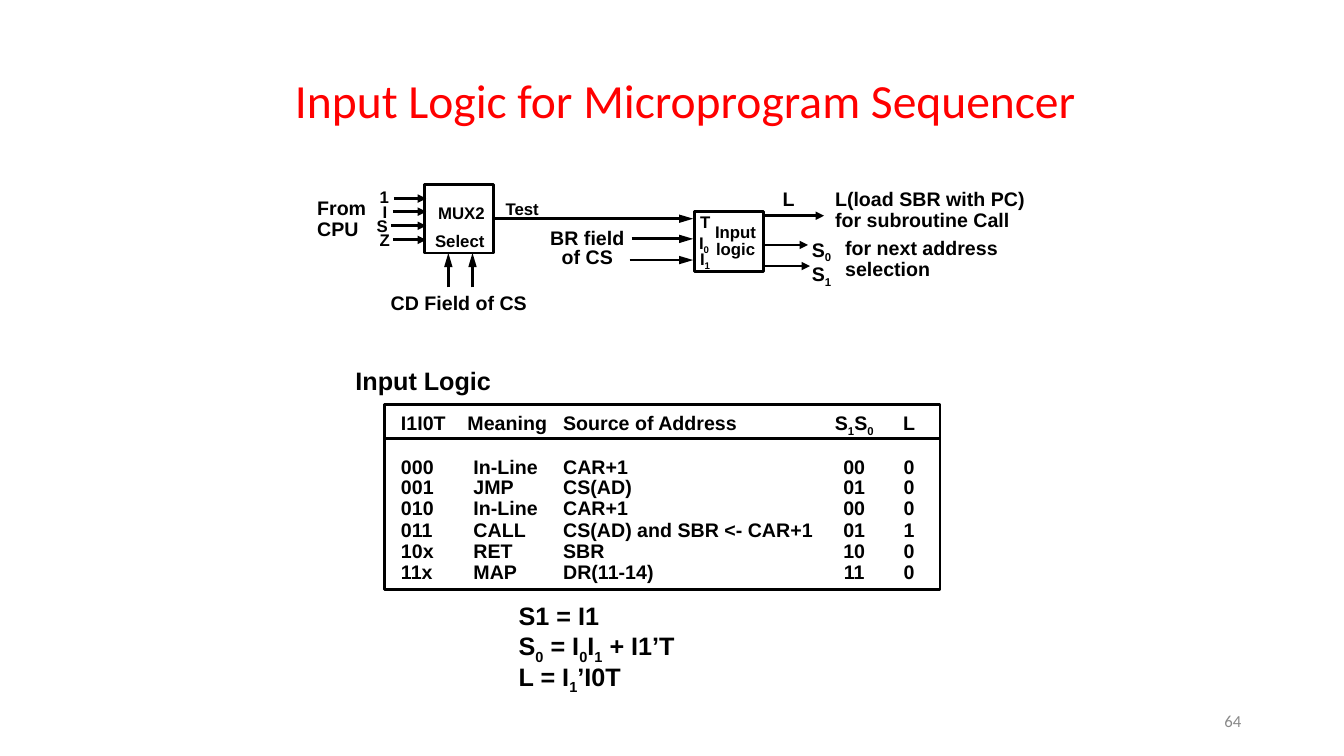
from lxml import etree
from pptx import Presentation
from pptx.dml.color import RGBColor
from pptx.enum.shapes import MSO_CONNECTOR, MSO_SHAPE
from pptx.enum.text import MSO_ANCHOR, PP_ALIGN
from pptx.oxml.ns import qn
from pptx.util import Pt

LEFT, CENTER, RIGHT = PP_ALIGN.LEFT, PP_ALIGN.CENTER, PP_ALIGN.RIGHT
TOP, MIDDLE, BOTTOM = MSO_ANCHOR.TOP, MSO_ANCHOR.MIDDLE, MSO_ANCHOR.BOTTOM
RECTANGLE, STRAIGHT = MSO_SHAPE.RECTANGLE, MSO_CONNECTOR.STRAIGHT
SCALE = 9144  # EMU per px, 100 px to the inch
BLACK, RED, GRAY = "000000", "FF0000", "898989"
LINE_WIDTH = Pt(2)

# Content: an underscore lowers the character after it
TITLE = "Input Logic for Microprogram Sequencer"
PAGE_NUMBER = "64"

# text, left, top, width, height, size
LABELS = [
    ("Input", 700, 217, 70, 28, 12),
    ("logic", 701, 234, 70, 28, 12),
    ("T", 685, 207, 40, 28, 12),
    ("I_0", 684, 226, 40, 30, 12),
    ("I_1", 685, 242, 40, 30, 12),
    ("MUX2", 425, 198, 80, 28, 12),
    ("Select", 422, 226, 80, 28, 12),
    ("1", 367, 183, 40, 28, 12),
    ("I", 370, 197, 40, 28, 12),
    ("S", 364, 211, 40, 28, 12),
    ("Z", 367, 225, 40, 28, 12),
    ("Test", 492, 194, 65, 28, 12),
    ("From\nCPU", 305, 192, 85, 52, 14),
    ("L", 767, 183, 40, 31, 14),
    ("L(load SBR with PC)\nfor subroutine Call", 819, 183, 232, 52, 14),
    ("S_0\nS_1", 796, 231, 50, 58, 14),
    ("for next address\nselection", 829, 232, 185, 52, 14),
    ("Input Logic", 343, 361, 170, 37, 18),
    ("S1 = I1\nS_0 = I_0I_1 + I1’T\nL = I_1’I0T", 505, 594, 190, 98, 18),
]
# text, left, top, width, height, line spacing
CENTERED_LABELS = [
    ("CD Field of CS", 373, 286, 165, 31, 0.9),
    ("BR field\nof CS", 531, 224, 104, 47, 0.8),
]

MUX_BOX = (421, 183, 69, 68)
LOGIC_BOX = (689, 210, 69, 59)
TEST_LINE = (490, 217, 688, 217)

# start x, start y, end x, end y
SHORT_HEAD_ARROWS = [
    (391, 197, 423, 197), (390, 210, 423, 210),
    (388, 224, 423, 224), (390, 238, 423, 238),
    (757, 214, 818, 214), (757, 243, 802, 243), (757, 264, 804, 264),
]
LONG_HEAD_ARROWS = [
    (627, 237, 688, 237), (625, 258, 688, 258),
    (445, 285, 445, 251), (469, 285, 469, 251),
]

TABLE_LEFT, TABLE_TOP = 382, 401
ROW_HEIGHTS = [34, 40, 21, 21, 21, 21, 26]
HEADER_TOP_MARGIN = 6
# width, alignment, header inset, body inset
COLUMNS = [
    (77, LEFT, 16, 16), (93, LEFT, 5, 11), (272, LEFT, 7, 7),
    (48, CENTER, 0, 0), (61, CENTER, 0, 0),
]
TABLE_ROWS = [
    ("I1I0T", "Meaning", "Source of Address", "S_1S_0", "L"),
    ("000", "In-Line", "CAR+1", "00", "0"),
    ("001", "JMP", "CS(AD)", "01", "0"),
    ("010", "In-Line", "CAR+1", "00", "0"),
    ("011", "CALL", "CS(AD) and SBR <- CAR+1", "01", "1"),
    ("10x", "RET", "SBR", "10", "0"),
    ("11x", "MAP", "DR(11-14)", "11", "0"),
]


def px(*lengths):
    return [round(length * SCALE) for length in lengths]


def color(hex_string):
    return RGBColor.from_string(hex_string)


def write(frame, text, size, align=LEFT, spacing=0.9, font="Arial", ink=BLACK, bold=True):
    for index, line in enumerate(text.split("\n")):
        para = frame.paragraphs[0] if index == 0 else frame.add_paragraph()
        para.alignment, para.line_spacing = align, spacing
        first, *lowered = line.split("_")
        spans = [(first, False)]
        for part in lowered:
            spans += [(part[0], True), (part[1:], False)]
        for words, is_subscript in spans:
            if not words:
                continue
            span = para.add_run()
            span.text = words
            span.font.name, span.font.size, span.font.bold = font, Pt(size), bold
            span.font.color.rgb = color(ink)
            if is_subscript:
                span._r.get_or_add_rPr().set("baseline", "-25000")


def add_text(page, text, left, top, width, height, size, anchor=TOP, **style):
    frame = page.shapes.add_textbox(*px(left, top, width, height)).text_frame
    frame.word_wrap = True
    frame.vertical_anchor = anchor
    write(frame, text, size, **style)


def add_box(page, bounds):
    box = page.shapes.add_shape(RECTANGLE, *px(*bounds))
    box.shadow.inherit = False
    box.fill.background()
    box.line.color.rgb = color(BLACK)
    box.line.width = LINE_WIDTH
    return box


def add_line(page, ends, head_length=None):
    line = page.shapes.add_connector(STRAIGHT, *px(*ends))
    line.line.color.rgb = color(BLACK)
    line.line.width = LINE_WIDTH
    if head_length:
        etree.SubElement(line.line._get_or_add_ln(), qn("a:tailEnd"),
                         type="triangle", w="med", len=head_length)
    etree.SubElement(line._element.spPr, qn("a:effectLst"))
    return line


def clear_borders(cell):
    properties = cell._tc.get_or_add_tcPr()
    for side in ("lnL", "lnR", "lnT", "lnB"):
        border = etree.SubElement(properties, qn("a:" + side), w="0")
        etree.SubElement(border, qn("a:noFill"))


def add_logic_table(page):
    width, height = sum(column[0] for column in COLUMNS), sum(ROW_HEIGHTS)
    bounds = (TABLE_LEFT, TABLE_TOP, width, height)
    table = page.shapes.add_table(len(TABLE_ROWS), len(COLUMNS), *px(*bounds)).table
    table.first_row = table.horz_banding = False
    for index, column in enumerate(COLUMNS):
        table.columns[index].width = px(column[0])[0]
    for row, (values, row_height) in enumerate(zip(TABLE_ROWS, ROW_HEIGHTS)):
        table.rows[row].height = px(row_height)[0]
        for column, value in enumerate(values):
            cell = table.cell(row, column)
            _, align, header_inset, body_inset = COLUMNS[column]
            cell.margin_left = px(body_inset if row else header_inset)[0]
            cell.margin_top = px(0 if row else HEADER_TOP_MARGIN)[0]
            cell.margin_right = cell.margin_bottom = 0
            cell.vertical_anchor = {0: MIDDLE, 1: BOTTOM}.get(row, TOP)
            clear_borders(cell)
            cell.fill.background()
            write(cell.text_frame, value, 14, align)

    # Frame and header rule
    add_box(page, bounds)
    rule_y = TABLE_TOP + ROW_HEIGHTS[0]
    add_line(page, (TABLE_LEFT, rule_y, TABLE_LEFT + width, rule_y))


def main():
    deck = Presentation()
    deck.slide_width, deck.slide_height = px(1334, 750)
    page = deck.slides.add_slide(deck.slide_layouts[6])

    # Title and page number
    add_text(page, TITLE, 283, 58, 850, 89, 34, MIDDLE, font="Calibri", ink=RED, bold=False)
    add_text(page, PAGE_NUMBER, 942, 695, 300, 40, 12, MIDDLE, align=RIGHT, spacing=1.0,
             font="Calibri", ink=GRAY, bold=False)

    # Block diagram
    mux = add_box(page, MUX_BOX)
    add_box(page, LOGIC_BOX)
    add_line(page, TEST_LINE, "lg").begin_connect(mux, 3)
    for ends in SHORT_HEAD_ARROWS:
        add_line(page, ends, "med")
    for ends in LONG_HEAD_ARROWS:
        add_line(page, ends, "lg")

    # Labels and equations
    for label in LABELS:
        add_text(page, *label)
    for *label, spacing in CENTERED_LABELS:
        add_text(page, *label, 14, align=CENTER, spacing=spacing)

    # Truth table
    add_logic_table(page)
    deck.save("out.pptx")


if __name__ == "__main__":
    main()
